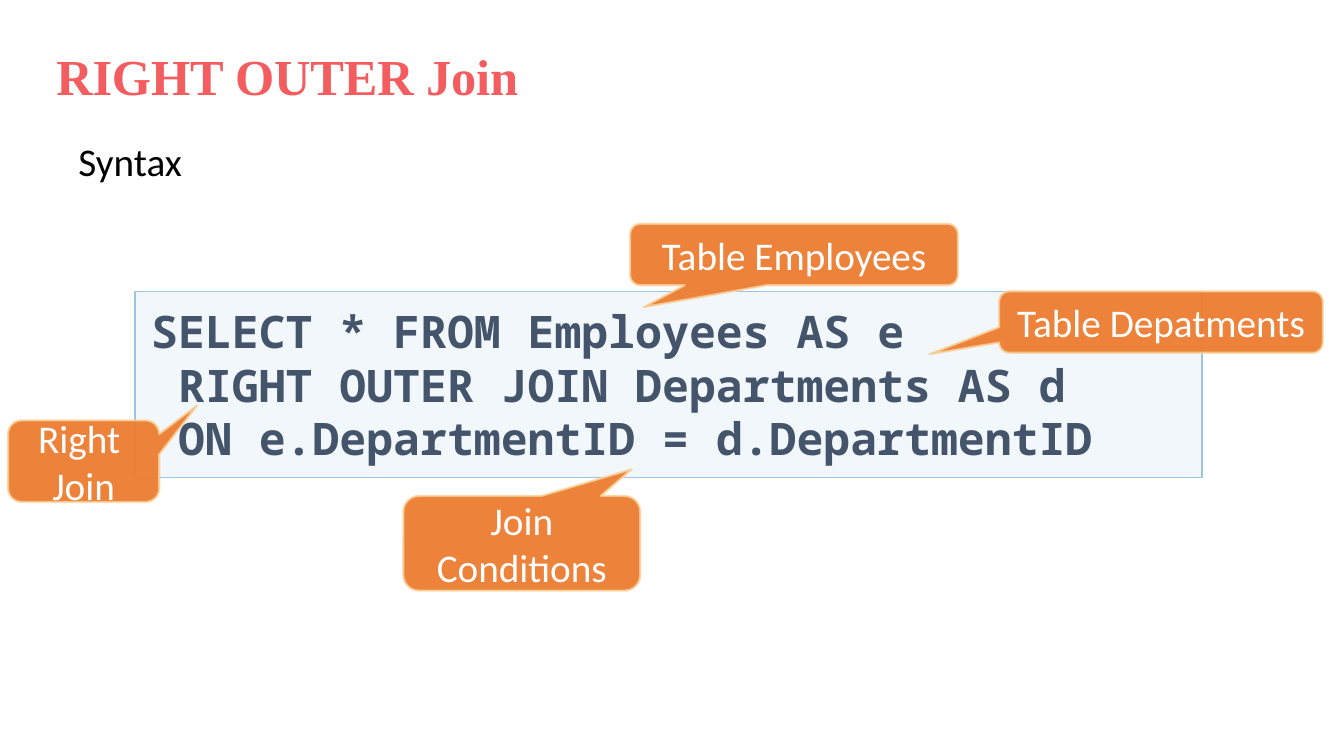
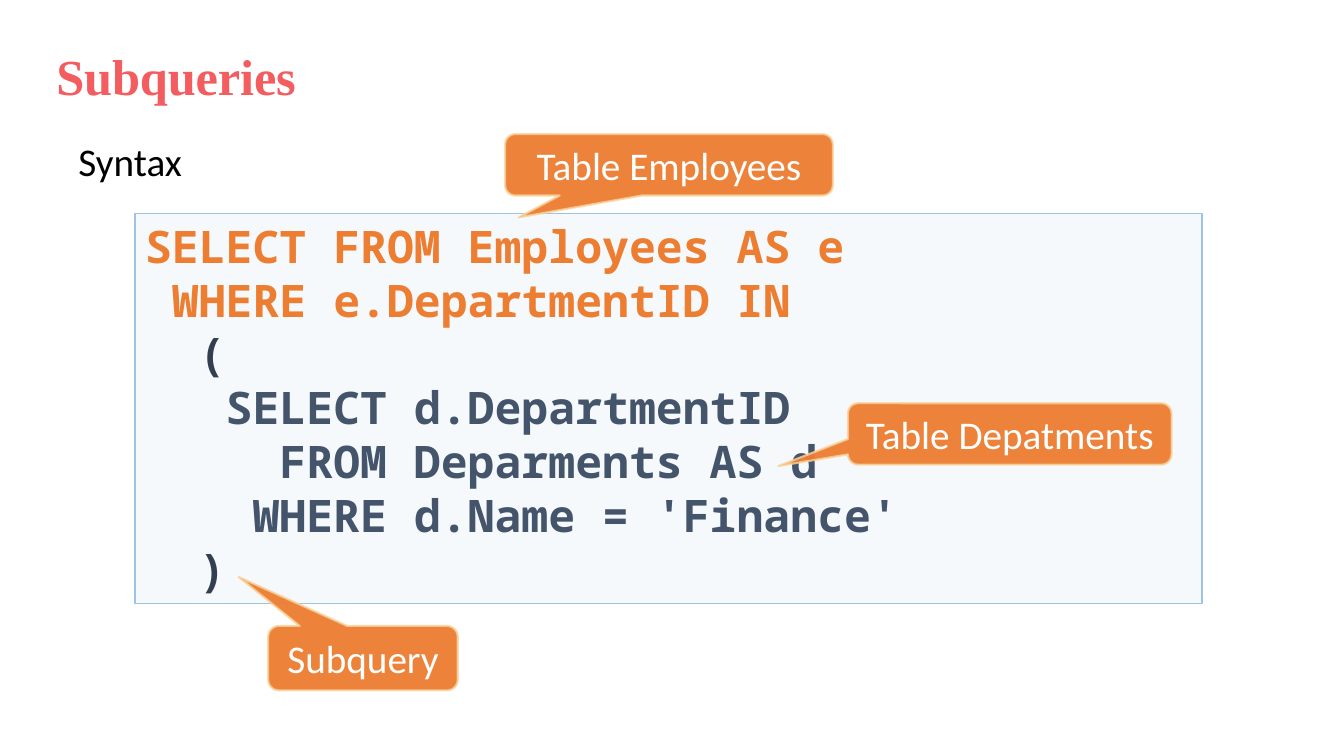
"""Build two slides that explain SQL syntax with a code panel and callouts."""
from dataclasses import dataclass

from lxml.etree import SubElement
from pptx import Presentation
from pptx.dml.color import RGBColor as Color
from pptx.enum.shapes import MSO_SHAPE as Shape
from pptx.enum.text import MSO_ANCHOR as Anchor, MSO_AUTO_SIZE as AutoSize, PP_ALIGN as Align
from pptx.oxml.ns import qn
from pptx.util import Pt

PX = 9144


@dataclass(frozen=True)
class Theme:
    title: str = "F45D60"
    body: str = "000000"
    panel: str = "BDD7EE"
    panel_line: str = "9DC3E6"
    code: str = "44546A"
    outer_query: str = "ED7D31"
    bracket: str = "333F50"
    callout: str = "ED7D31"
    callout_line: str = "F8D49E"
    callout_text: str = "FFFFFF"
    title_font: str = "Times New Roman"
    body_font: str = "Calibri"
    code_font: str = "Noto Sans Mono"
    title_size: int = 36
    body_size: int = 28
    code_size: int = 32


theme = Theme()


def add_run(paragraph, text, font, size, color, bold=False):
    run = paragraph.add_run()
    run.text = text
    run.font.name = font
    run.font.size = Pt(size)
    run.font.bold = bold
    run.font.color.rgb = Color.from_string(color)
    return run


def add_box(slide, preset, bounds, fill, fill_alpha, line, line_width, line_alpha=100):
    shape = slide.shapes.add_shape(preset, *[length * PX for length in bounds])
    shape.shadow.inherit = False
    shape.line.width = Pt(line_width)
    for paint, color, alpha in ((shape.fill, fill, fill_alpha), (shape.line.fill, line, line_alpha)):
        paint.solid()
        paint.fore_color.rgb = Color.from_string(color)
    for solid, alpha in zip(shape.element.spPr.iter(qn("a:srgbClr")), (fill_alpha, line_alpha)):
        SubElement(solid, qn("a:alpha"), val=str(alpha * 1000))
    return shape


slides = [
    {
        "title": "RIGHT OUTER Join",
        "panel": (134, 289, 1058, 185),
        "panel_alpha": 20,
        "insets": (16, 12),
        "code": [
            (0, "SELECT * FROM Employees AS e", theme.code),
            (1, "RIGHT OUTER JOIN Departments AS d", theme.code),
            (1, "ON e.DepartmentID = d.DepartmentID", theme.code),
        ],
        "callouts": [
            ("Table Depatments", (991, 289, 321, 61), (-0.715, 0.522)),
            ("Table Employees", (625, 222, 325, 61), (-0.459, 0.857)),
            ("Join Conditions", (400, 492, 235, 94), (0.464, -0.781)),
            ("Right \nJoin", (8, 417, 150, 81), (0.751, -0.684)),
        ],
    },
    {
        "title": "Subqueries",
        "panel": (134, 212, 1058, 387),
        "panel_alpha": 15,
        "insets": (10, 5),
        "code": [
            (0, "SELECT FROM Employees AS e", theme.outer_query),
            (1, "WHERE e.DepartmentID IN", theme.outer_query),
            (2, "(", theme.bracket),
            (3, "SELECT d.DepartmentID", theme.code),
            (5, "FROM Deparments AS d", theme.code),
            (4, "WHERE d.Name = 'Finance'", theme.code),
            (2, ")", theme.bracket),
        ],
        "callouts": [
            ("Table Depatments", (841, 400, 321, 61), (-0.715, 0.522)),
            ("Subquery", (266, 621, 188, 64), (-0.656, -1.259)),
            ("Table Employees", (501, 133, 325, 61), (-0.459, 0.857)),
        ],
    },
]

presentation = Presentation()
presentation.slide_width = 1333 * PX
presentation.slide_height = 750 * PX
blank_layout = presentation.slide_layouts[6]

for content in slides:
    slide = presentation.slides.add_slide(blank_layout)

    title = slide.shapes.add_textbox(46 * PX, 40 * PX, 668 * PX, 71 * PX).text_frame
    title.word_wrap = True
    title.auto_size = AutoSize.SHAPE_TO_FIT_TEXT
    title_run = add_run(title.paragraphs[0], content["title"], theme.title_font,
                        theme.title_size, theme.title, True)
    title_run.font._element.set("spc", "-10")

    body = slide.shapes.add_textbox(68 * PX, 137 * PX, 1150 * PX, 476 * PX).text_frame
    body.word_wrap = True
    body.paragraphs[0].line_spacing = 0.9
    body.paragraphs[0].space_before = Pt(10)
    add_run(body.paragraphs[0], "Syntax", theme.body_font, theme.body_size, theme.body)

    panel = add_box(slide, Shape.RECTANGLE, content["panel"], theme.panel,
                    content["panel_alpha"], theme.panel_line, 1)
    frame = panel.text_frame
    frame.word_wrap = True
    frame.auto_size = AutoSize.SHAPE_TO_FIT_TEXT
    frame.vertical_anchor = Anchor.TOP
    inset_x, inset_y = content["insets"]
    frame.margin_left = frame.margin_right = inset_x * PX
    frame.margin_top = frame.margin_bottom = inset_y * PX
    for number, (indent, text, color) in enumerate(content["code"]):
        paragraph = frame.add_paragraph() if number else frame.paragraphs[0]
        paragraph.alignment = Align.LEFT
        properties = paragraph._p.get_or_add_pPr()
        properties.set("marL", str(indent * Pt(theme.code_size * 0.6)))
        properties.set("indent", "0")
        add_run(paragraph, text, theme.code_font, theme.code_size, color, True)

    for text, bounds, pointer in content["callouts"]:
        callout = add_box(slide, Shape.ROUNDED_RECTANGULAR_CALLOUT, bounds, theme.callout, 95,
                          theme.callout_line, 1.5, 80)
        for index, value in enumerate((*pointer, 0.167)):
            callout.adjustments[index] = value
        frame = callout.text_frame
        frame.word_wrap = True
        frame.vertical_anchor = Anchor.MIDDLE
        paragraph = frame.paragraphs[0]
        paragraph.alignment = Align.CENTER
        for number, line in enumerate(text.split("\n")):
            if number:
                paragraph.add_line_break()
            add_run(paragraph, line, theme.body_font, theme.body_size, theme.callout_text)

presentation.save("out.pptx")
